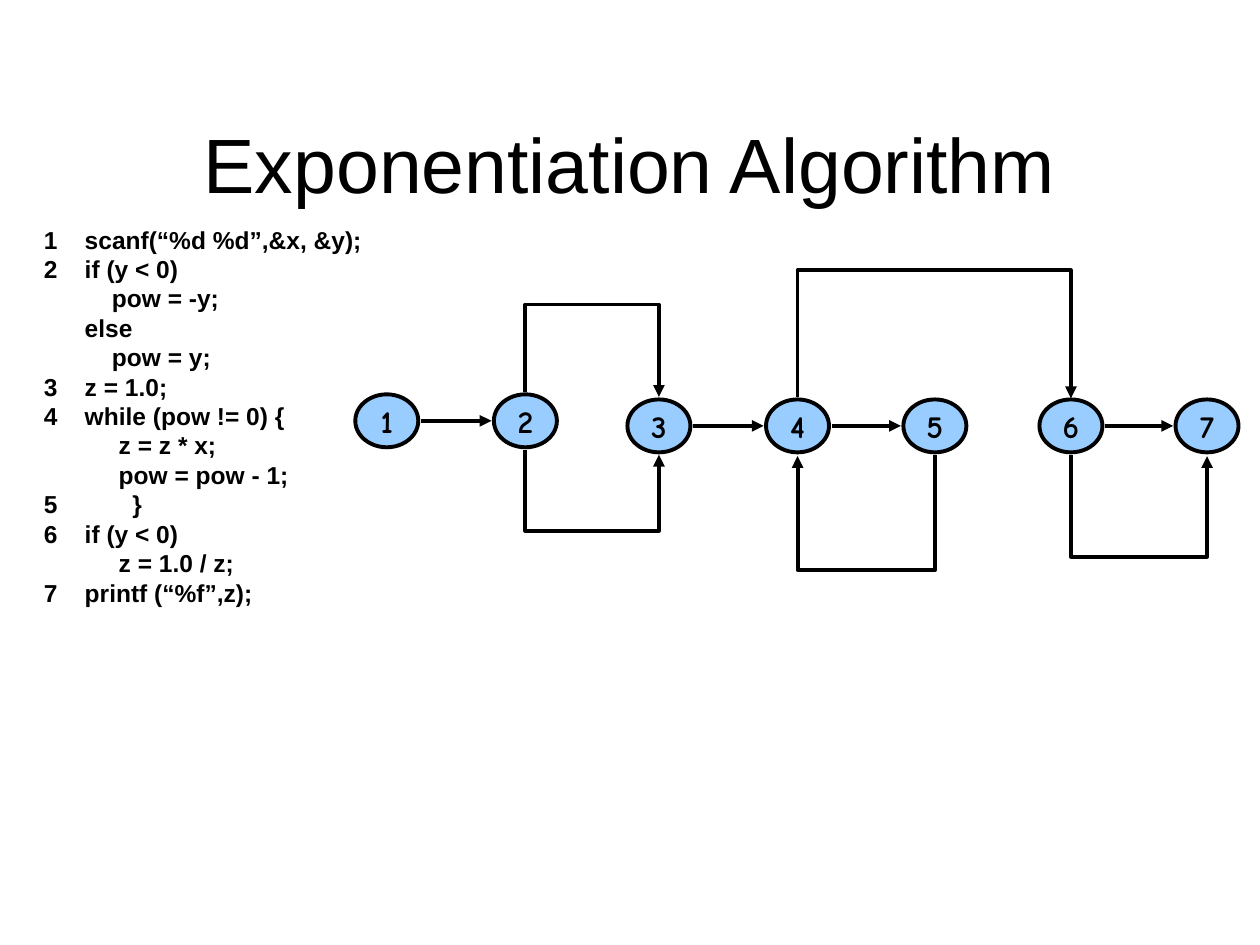
from lxml.etree import SubElement
from pptx import Presentation
from pptx.dml.color import RGBColor
from pptx.enum.shapes import MSO_CONNECTOR, MSO_SHAPE
from pptx.enum.text import MSO_ANCHOR, MSO_AUTO_SIZE, PP_ALIGN
from pptx.oxml.ns import qn
from pptx.util import Inches, Pt

BLACK = RGBColor(0x00, 0x00, 0x00)
BLUE = RGBColor(0x99, 0xCC, 0xFF)
NODE_W, NODE_H, GAP = 0.5, 0.42, 0.02

CODE = """1    scanf(“%d %d”,&x, &y);
2    if (y < 0)
          pow = -y;
      else
          pow = y;
3    z = 1.0;
4    while (pow != 0) {
           z = z * x;
           pow = pow - 1;
5           }
6    if (y < 0)
           z = 1.0 / z;
7    printf (“%f”,z);"""

# Node number: left and top within the graph
NODES = {1: (0, 1), 2: (1.1, 1), 3: (2.16, 1.04), 4: (3.26, 1.04),
         5: (4.35, 1.04), 6: (5.43, 1.04), 7: (6.51, 1.04)}
STEPS = [(1, 2), (3, 4), (4, 5), (6, 7)]
# First node, last node, height of the rail within the graph
BENDS = [(2, 3, 0.29), (2, 3, 2.08), (4, 6, 0), (5, 4, 2.41), (6, 7, 2.3)]


def add_run(para, text, font, size, bold=False):
    run = para.add_run()
    run.text = text
    run.font.name = font
    run.font.size = Pt(size)
    run.font.bold = bold
    run.font.color.rgb = BLACK


def add_title(slide, left, top, width, height):
    title = slide.shapes.title
    title.left, title.top = Inches(left), Inches(top)
    title.width, title.height = Inches(width), Inches(height)
    frame = title.text_frame
    frame.vertical_anchor = MSO_ANCHOR.MIDDLE
    para = frame.paragraphs[0]
    para.alignment = PP_ALIGN.CENTER
    add_run(para, "Exponentiation Algorithm", "Arial", 44)


def add_code(slide, left, top, width, height):
    box = slide.shapes.add_textbox(
        Inches(left), Inches(top), Inches(width), Inches(height))
    frame = box.text_frame
    frame.word_wrap = True
    frame.auto_size = MSO_AUTO_SIZE.SHAPE_TO_FIT_TEXT
    frame.vertical_anchor = MSO_ANCHOR.MIDDLE
    for i, line in enumerate(CODE.splitlines()):
        para = frame.add_paragraph() if i else frame.paragraphs[0]
        add_run(para, line, "Arial", 14, True)


def add_node(slide, left, top, label):
    node = slide.shapes.add_shape(
        MSO_SHAPE.OVAL, Inches(left), Inches(top),
        Inches(NODE_W), Inches(NODE_H))
    node.shadow.inherit = False
    node.fill.solid()
    node.fill.fore_color.rgb = BLUE
    node.line.color.rgb = BLACK
    node.line.width = Pt(2.25)
    frame = node.text_frame
    frame.word_wrap = False
    frame.vertical_anchor = MSO_ANCHOR.MIDDLE
    para = frame.paragraphs[0]
    para.alignment = PP_ALIGN.CENTER
    add_run(para, label, "Comic Neue", 18, True)


def add_arrow(slide, kind, x1, y1, x2, y2):
    arrow = slide.shapes.add_connector(
        kind, Inches(x1), Inches(y1), Inches(x2), Inches(y2))
    arrow.line.color.rgb = BLACK
    arrow.line.width = Pt(2.25)
    props = arrow._element.spPr
    SubElement(props.find(qn("a:ln")), qn("a:tailEnd"), type="triangle")
    SubElement(props, qn("a:effectLst"))
    return props


def add_bend(slide, x1, y1, x2, y2, rail):
    """Route an arrow vertically to the rail, along it and back.

    The elbow is laid out sideways, then turned by 90 degrees.
    """
    drop = max(y2 - y1, 0.01)
    mid_x, mid_y = (x1 + x2) / 2, y1 + drop / 2
    half = (x2 - x1) / 2
    props = add_arrow(slide, MSO_CONNECTOR.ELBOW,
                      mid_x - drop / 2, mid_y + half,
                      mid_x + drop / 2, mid_y - half)
    props.find(qn("a:xfrm")).set("rot", str(90 * 60000))
    share = round((rail - y1) / drop * 100000)
    guides = props.find(qn("a:prstGeom")).find(qn("a:avLst"))
    SubElement(guides, qn("a:gd"), name="adj1", fmla=f"val {share}")


def add_graph(slide, left, top):
    spots = {n: (left + x, top + y) for n, (x, y) in NODES.items()}
    for n, (x, y) in spots.items():
        add_node(slide, x, y, str(n))
    for a, b in STEPS:
        (x1, y1), (x2, y2) = spots[a], spots[b]
        add_arrow(slide, MSO_CONNECTOR.STRAIGHT,
                  x1 + NODE_W + GAP, y1 + NODE_H / 2,
                  x2 - GAP, y2 + NODE_H / 2)
    for a, b, rail in BENDS:
        (x1, y1), (x2, y2) = spots[a], spots[b]
        edge = -GAP if top + rail < y1 else NODE_H + GAP
        add_bend(slide, x1 + NODE_W / 2, y1 + edge,
                 x2 + NODE_W / 2, y2 + edge, top + rail)


def main():
    deck = Presentation()
    deck.slide_width, deck.slide_height = Inches(10), Inches(7.5)
    slide = deck.slides.add_slide(deck.slide_layouts[5])
    add_title(slide, 0.75, 0.67, 8.5, 1.25)
    add_graph(slide, 2.82, 2.13)
    add_code(slide, 0.25, 1.73, 5.25, 3.14)
    deck.save("out.pptx")


if __name__ == "__main__":
    main()
